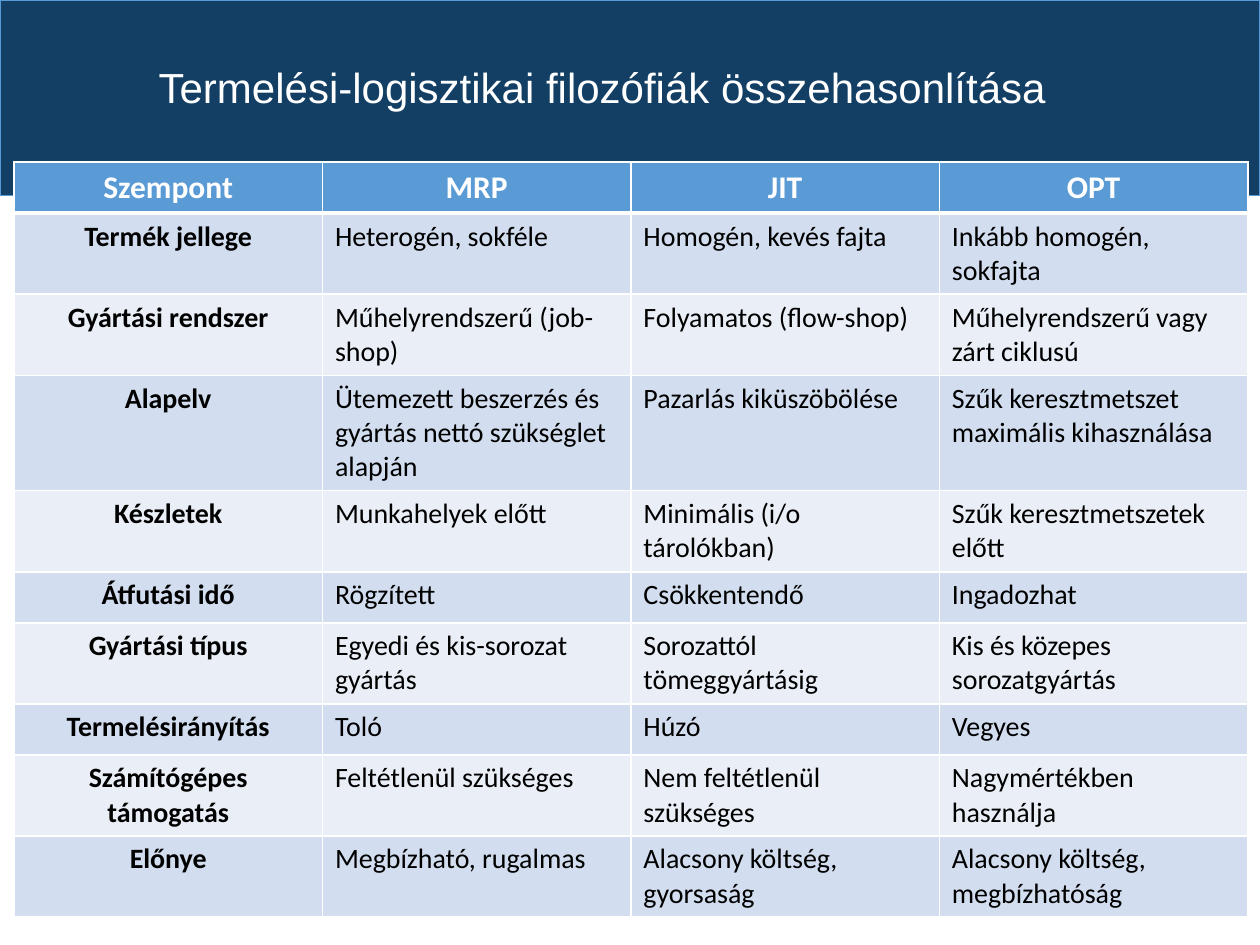
from pptx import Presentation
from pptx import util as u
from pptx.dml import color
from pptx.enum import shapes, text
from pptx.oxml import parse_xml
from pptx.oxml import ns

SCALE = 914400 / 126
WHITE, NAVY, BLUE = "FFFFFF", "133F64", "5B9BD5"
BANDS = ["D2DEEF", "EAEFF7"]
ROWS = [
    ["Szempont", "MRP", "JIT", "OPT"],
    ["Termék jellege", "Heterogén, sokféle", "Homogén, kevés fajta",
     "Inkább homogén, sokfajta"],
    ["Gyártási rendszer", "Műhelyrendszerű (job-shop)", "Folyamatos (flow-shop)",
     "Műhelyrendszerű vagy zárt ciklusú"],
    ["Alapelv", "Ütemezett beszerzés és gyártás nettó szükséglet alapján",
     "Pazarlás kiküszöbölése", "Szűk keresztmetszet maximális kihasználása"],
    ["Készletek", "Munkahelyek előtt", "Minimális (i/o tárolókban)",
     "Szűk keresztmetszetek előtt"],
    ["Átfutási idő", "Rögzített", "Csökkentendő", "Ingadozhat"],
    ["Gyártási típus", "Egyedi és kis-sorozat gyártás",
     "Sorozattól tömeggyártásig", "Kis és közepes sorozatgyártás"],
    ["Termelésirányítás", "Toló", "Húzó", "Vegyes"],
    ["Számítógépes támogatás", "Feltétlenül szükséges",
     "Nem feltétlenül szükséges", "Nagymértékben használja"],
    ["Előnye", "Megbízható, rugalmas", "Alacsony költség, gyorsaság",
     "Alacsony költség, megbízhatóság"],
]


def px(n):
    return u.Emu(round(n * SCALE))


def rgb(code):
    return color.RGBColor.from_string(code)


def paint(fill, code):
    fill.solid()
    fill.fore_color.rgb = rgb(code)


def write(frame, words, size=16, font="Calibri", ink="000000", bold=False,
          center=False, lead=None):
    para = frame.paragraphs[0]
    para.alignment = text.PP_ALIGN.CENTER if center else text.PP_ALIGN.LEFT
    para.line_spacing = lead
    run = para.add_run()
    run.text = words
    run.font.size = u.Pt(size)
    run.font.name = font
    run.font.bold = bold
    run.font.color.rgb = rgb(ink)


def add_title(slide, words):
    title = slide.shapes.title
    title.left, title.top, title.width, title.height = map(px, (146, 37, 1134, 105))
    title.text_frame.word_wrap = True
    title.text_frame.vertical_anchor = text.MSO_ANCHOR.MIDDLE
    write(title.text_frame, words, size=24, font="Arial", ink=WHITE, lead=0.9)


def add_band(slide):
    band = slide.shapes.add_shape(
        shapes.MSO_SHAPE.RECTANGLE, 0, 0, px(1260), px(196))
    band.shadow.inherit = False
    paint(band.fill, NAVY)
    band.line.color.rgb = rgb(BLUE)
    band.line.width = u.Pt(0.5)
    slide.shapes.title._element.addprevious(band._element)


def edge(cell, side, width):
    cell._tc.get_or_add_tcPr().append(parse_xml(
        f'<a:{side} {ns.nsdecls("a")} w="{u.Pt(width)}"><a:solidFill>'
        f'<a:srgbClr val="{WHITE}"/></a:solidFill></a:{side}>'))


def add_grid(slide):
    table = slide.shapes.add_table(
        len(ROWS), 4, px(14), px(162), px(1234), px(510)).table
    for col in table.columns:
        col.width = px(1234 / 4)
    for i, row in enumerate(ROWS):
        table.rows[i].height = px(51)
        head = i == 0
        for j, words in enumerate(row):
            cell = table.cell(i, j)
            for side in ("lnL", "lnR", "lnT", "lnB"):
                edge(cell, side, 3 if head and side == "lnB" else 1)
            paint(cell.fill, BLUE if head else BANDS[(i - 1) % 2])
            first = head or j == 0
            write(cell.text_frame, words, size=18 if head else 16,
                  ink=WHITE if head else "000000", bold=first, center=first)


def main():
    deck = Presentation()
    deck.slide_width, deck.slide_height = px(1260), px(945)
    slide = deck.slides.add_slide(deck.slide_layouts[5])
    add_title(slide, "Termelési-logisztikai filozófiák összehasonlítása")
    add_band(slide)
    add_grid(slide)
    deck.save("out.pptx")


if __name__ == "__main__":
    main()
